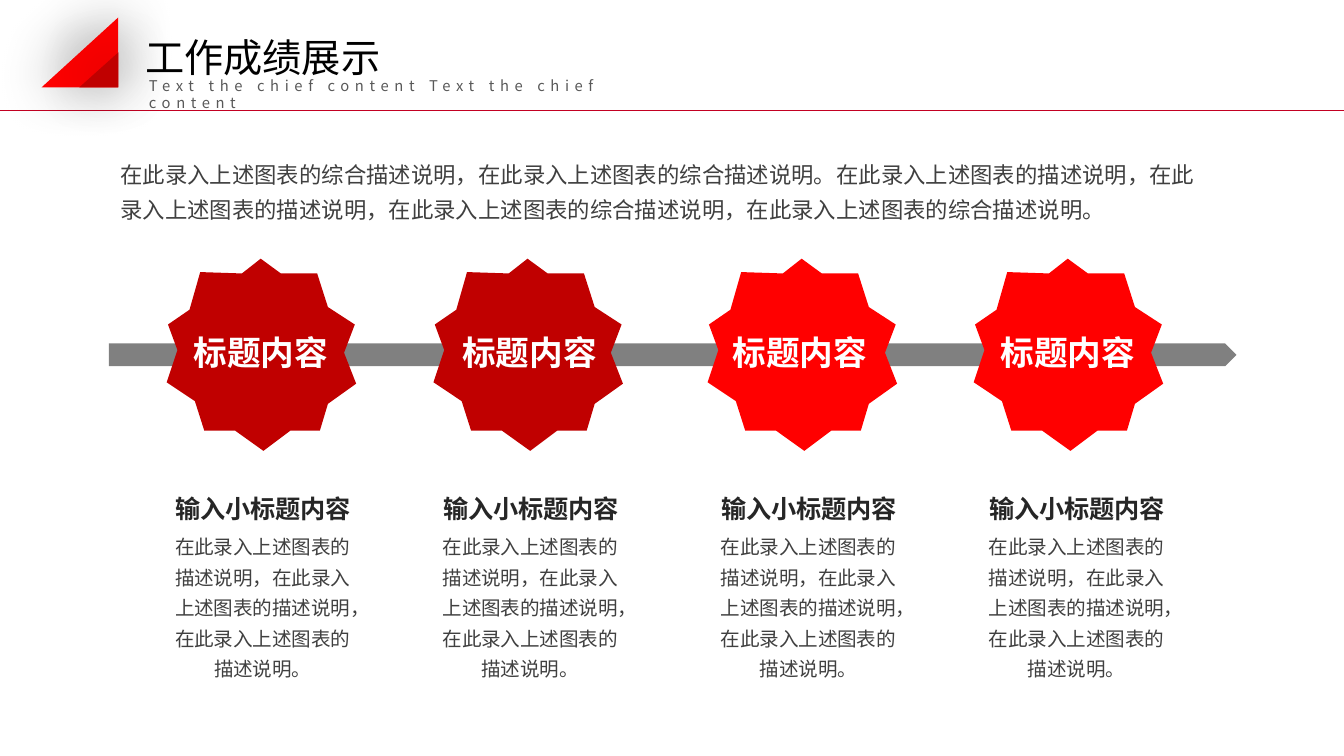
from dataclasses import dataclass
from typing import Optional

from lxml.etree import SubElement
from pptx import Presentation
from pptx.dml.color import RGBColor
from pptx.enum.shapes import MSO_CONNECTOR, MSO_SHAPE
from pptx.enum.text import MSO_ANCHOR as Anchor, PP_ALIGN as Align
from pptx.oxml.ns import qn
from pptx.util import Emu, Inches, Pt

FONT = "Noto Sans CJK SC"
WHITE = RGBColor(0xFF, 0xFF, 0xFF)
BLACK = RGBColor(0, 0, 0)
RED = RGBColor(0xFF, 0, 0)
DARK_RED = RGBColor(0xC0, 0, 0)
RULE_RED = RGBColor(0xC3, 0, 0x22)
GRAY = RGBColor(0x80, 0x80, 0x80)
HEADING_INK = RGBColor(0x26, 0x26, 0x26)
BODY_INK = RGBColor(0x40, 0x40, 0x40)
SUBTITLE_INK = RGBColor(0x59, 0x59, 0x59)

COLUMNS, ROWS = 100, 56.25
CELL = Inches(0.1)
WIDE_INSET, SLIM_INSET = (1, 0.5), (0.75, 0.4)

STAR = [(7, 0), (8.5, 1.1), (11.2, 1.1), (12, 3.6), (14, 4.9), (13.2, 7), (14.1, 9.3),
        (12, 10.8), (11.4, 12.8), (9.2, 12.8), (7.2, 14.3), (5.1, 12.8), (2.8, 12.8),
        (2.1, 10.6), (0, 9.2), (0.8, 6.8), (0.1, 4.9), (1.7, 3.8), (2.5, 1), (5.6, 1.1)]
STAR_ROW = 19.25

SUMMARY = ("在此录入上述图表的综合描述说明，在此录入上述图表的综合描述说明。"
           "在此录入上述图表的描述说明，在此录入上述图表的描述说明，"
           "在此录入上述图表的综合描述说明，在此录入上述图表的综合描述说明。")
DETAIL = "，".join(["在此录入上述图表的描述说明"] * 3) + "。"


@dataclass(frozen=True)
class Box:
    col: float
    row: float
    cols: float
    rows: float

    def place(self) -> tuple:
        return tuple(cells(n) for n in (self.col, self.row, self.cols, self.rows))


@dataclass(frozen=True)
class Style:
    size: float
    color: RGBColor
    bold: bool = False
    align: Align = Align.LEFT
    spacing: float = 1.0
    wrap: bool = True
    inset: tuple = SLIM_INSET
    anchor: Anchor = Anchor.TOP
    tracking: Optional[int] = None


@dataclass(frozen=True)
class Stage:
    star_col: float
    label_col: float
    heading_col: float
    color: RGBColor


TITLE = Style(21, BLACK, inset=WIDE_INSET, anchor=Anchor.MIDDLE)
SUBTITLE = Style(7.9, SUBTITLE_INK, inset=WIDE_INSET, tracking=300)
INTRO = Style(12, BODY_INK, spacing=1.3)
LABEL = Style(18, WHITE, bold=True, align=Align.CENTER, inset=WIDE_INSET)
HEADING = Style(13.5, HEADING_INK, bold=True, align=Align.CENTER, wrap=False)
BODY = Style(10.5, BODY_INK, align=Align.CENTER, spacing=1.3)

STAGES = [Stage(12.4, 13.4, 12.3, DARK_RED), Stage(32.25, 33.4, 32.2, DARK_RED),
          Stage(52.65, 53.5, 52.9, RED), Stage(72.45, 73.45, 72.85, RED)]


def cells(count: float) -> Emu:
    """Turn a number of grid cells into a length."""
    return Emu(round(count * CELL))


def set_all(target, values: dict) -> None:
    """Set each named attribute of the target."""
    for name, value in values.items():
        setattr(target, name, value)


def write(shape, text: str, style: Style) -> None:
    """Put one styled paragraph into a shape."""
    frame = shape.text_frame
    across, down = (cells(n) for n in style.inset)
    set_all(frame, {"word_wrap": style.wrap, "vertical_anchor": style.anchor,
                    "margin_left": across, "margin_right": across,
                    "margin_top": down, "margin_bottom": down})
    paragraph = frame.paragraphs[0]
    set_all(paragraph, {"alignment": style.align, "line_spacing": style.spacing,
                        "space_before": Pt(0)})
    run = paragraph.add_run()
    run.text = text
    set_all(run.font, {"size": Pt(style.size), "bold": style.bold, "name": FONT})
    run.font.color.rgb = style.color
    properties = run.font._element
    SubElement(properties, qn("a:ea"), typeface=FONT)
    if style.tracking:
        properties.set("spc", str(style.tracking))


def add_text(slide, box: Box, text: str, style: Style) -> None:
    """Add a text box."""
    write(slide.shapes.add_textbox(*box.place()), text, style)


def paint(shape, color: RGBColor) -> None:
    """Give a shape a plain fill without line or shadow."""
    shape.shadow.inherit = False
    shape.fill.solid()
    shape.fill.fore_color.rgb = color
    shape.line.fill.background()


def add_outline(slide, points: list, color: RGBColor, col: float = 0, row: float = 0):
    """Add a closed polygon shifted to a grid position."""
    start, *rest = [(cells(col + x), cells(row + y)) for x, y in points]
    builder = slide.shapes.build_freeform(*start)
    builder.add_line_segments(rest, close=True)
    outline = builder.convert_to_shape()
    paint(outline, color)
    return outline


def add_glow(shape) -> None:
    """Add a wide soft shadow to a shape."""
    effects = shape._element.spPr.find(qn("a:effectLst"))
    shadow = SubElement(effects, qn("a:outerShdw"), blurRad=str(Pt(33)), dist=str(Pt(3)),
                        dir="16200000", algn="ctr", rotWithShape="0")
    SubElement(SubElement(shadow, qn("a:srgbClr"), val=str(BLACK)), qn("a:alpha"), val="40000")


def add_header(slide) -> None:
    """Draw the title, subtitle, rule and corner triangles."""
    title = slide.shapes.title
    set_all(title, dict(zip(("left", "top", "width", "height"), Box(9.8, 2, 20, 4.5).place())))
    write(title, "工作成绩展示", TITLE)
    add_text(slide, Box(10.1, 5.2, 41.3, 2.3),
             "Text the chief content Text the chief content", SUBTITLE)
    rule = slide.shapes.add_connector(MSO_CONNECTOR.STRAIGHT, 0, cells(8.2),
                                      cells(COLUMNS), cells(8.2))
    rule.line.color.rgb = RULE_RED
    rule.line.width = Pt(0.5)
    SubElement(rule._element.spPr, qn("a:effectLst"))
    for left, top, color in ((3.1, 1.3, RED), (5.9, 3.9, DARK_RED)):
        add_glow(add_outline(slide, [(8.8, top), (left, 6.5), (8.8, 6.5)], color))


def add_stage(slide, stage: Stage) -> None:
    """Draw one star with its label, heading and details."""
    add_outline(slide, STAR, stage.color, stage.star_col, STAR_ROW)
    add_text(slide, Box(stage.label_col, 24.2, 12, 4), "标题内容", LABEL)
    add_text(slide, Box(stage.heading_col, 36.3, 14.6, 3), "输入小标题内容", HEADING)
    add_text(slide, Box(stage.heading_col - 0.7, 38.9, 15.9, 12.2), DETAIL, BODY)


def main() -> None:
    """Build and save the slide."""
    deck = Presentation()
    set_all(deck, {"slide_width": cells(COLUMNS), "slide_height": cells(ROWS)})
    slide = deck.slides.add_slide(deck.slide_layouts.get_by_name("Title Only"))
    add_header(slide)
    add_text(slide, Box(8.2, 11, 83.1, 6), SUMMARY, INTRO)
    paint(slide.shapes.add_shape(MSO_SHAPE.PENTAGON, *Box(8.1, 25.55, 83.9, 1.7).place()), GRAY)
    for stage in STAGES:
        add_stage(slide, stage)
    deck.save("out.pptx")


if __name__ == "__main__":
    main()
